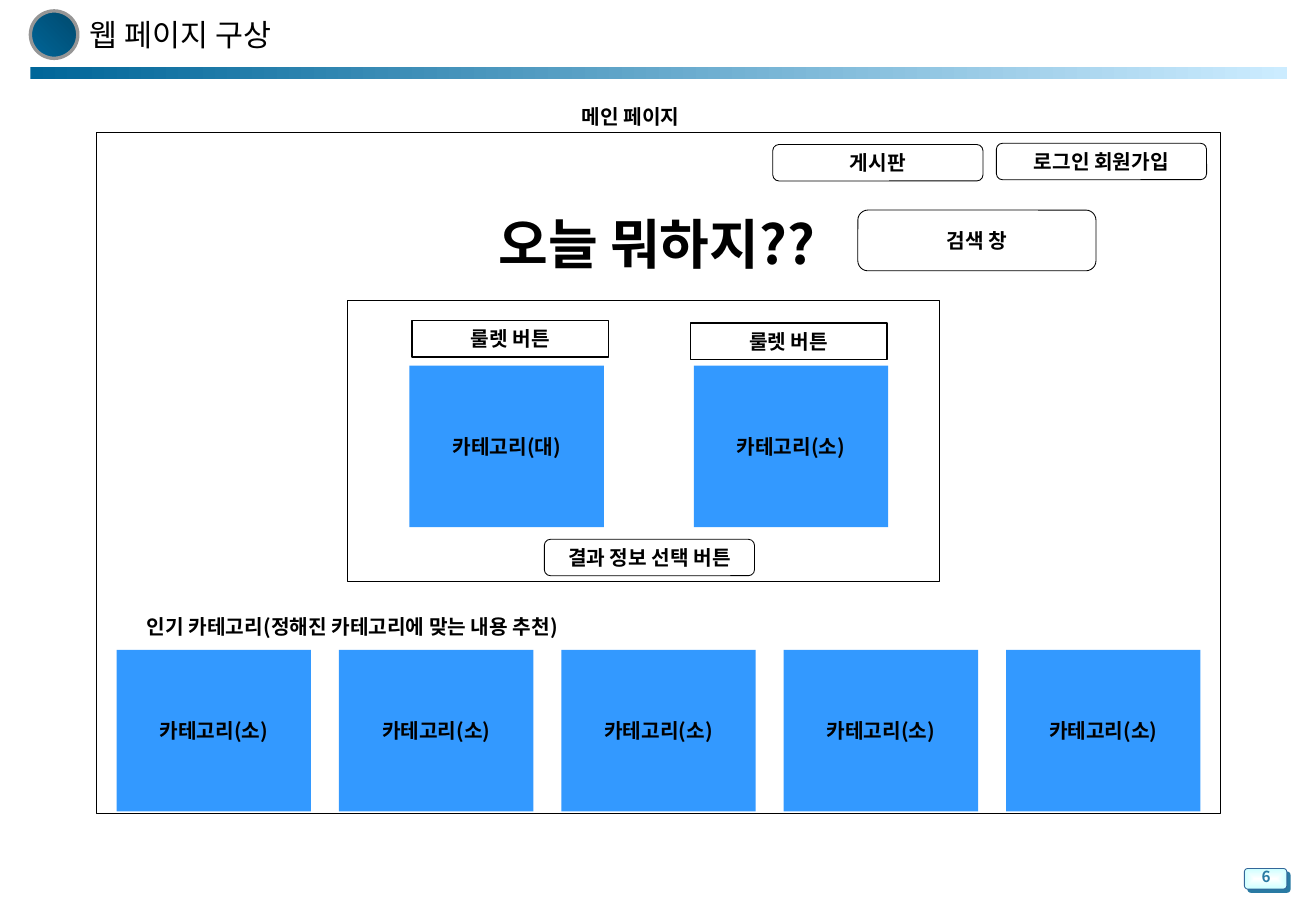
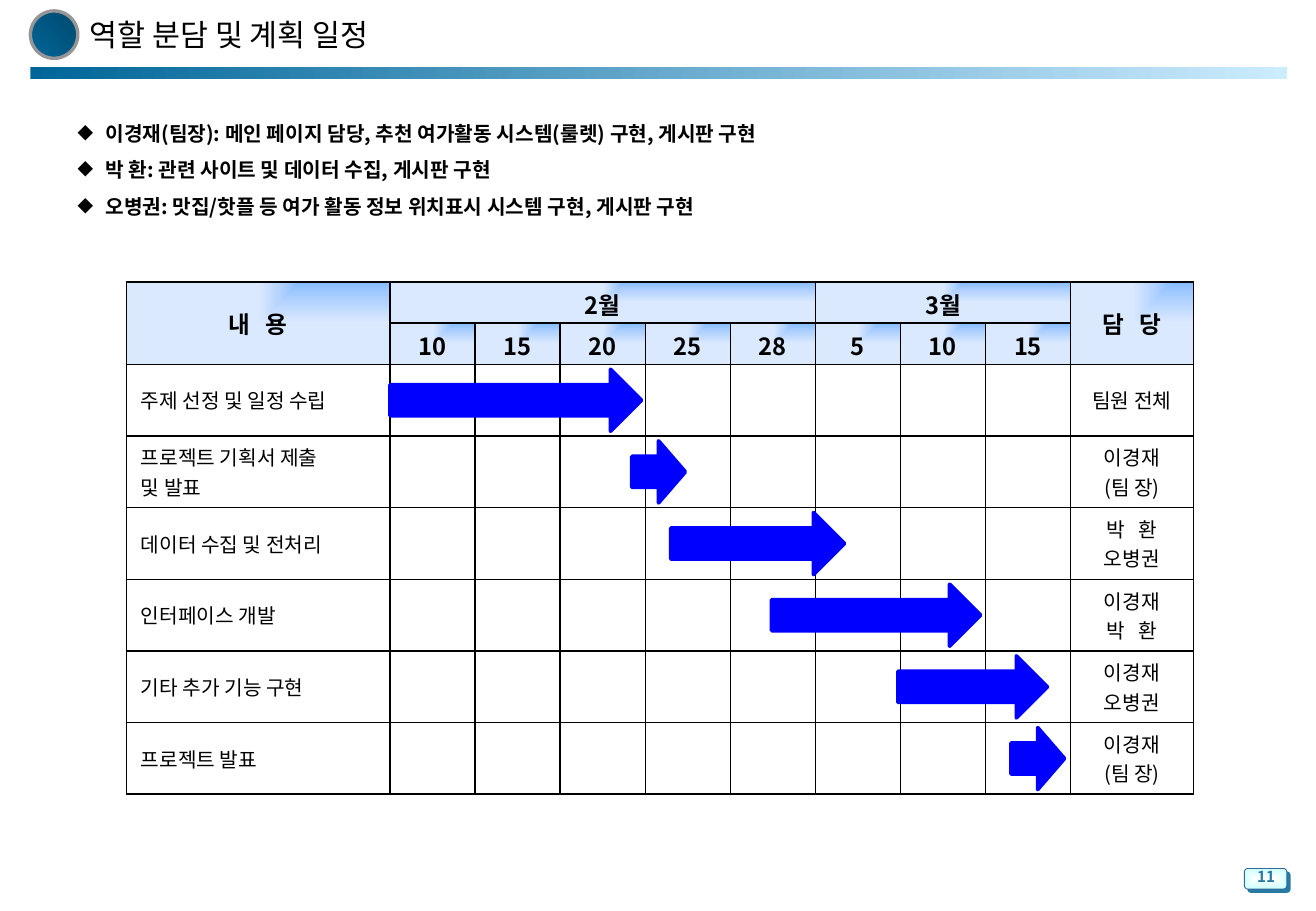
import pptx
import pptx.util
import pptx.dml.color
import pptx.enum.shapes
import pptx.enum.text
import pptx.oxml.ns
from lxml import etree

Inches = pptx.util.Inches
Pt = pptx.util.Pt
RGB = pptx.dml.color.RGBColor
SHAPE = pptx.enum.shapes.MSO_SHAPE
ALIGN = pptx.enum.text.PP_ALIGN
ANCHOR = pptx.enum.text.MSO_ANCHOR
qn = pptx.oxml.ns.qn

FONT = "Noto Sans CJK KR"
BLACK = RGB(0, 0, 0)
WHITE = RGB(255, 255, 255)
SEA = RGB(0x00, 0x66, 0x99)
DEEP = RGB(0x00, 0x49, 0x6D)
PALE = RGB(0xCC, 0xEC, 0xFF)
GRAY = RGB(0x96, 0x96, 0x96)
ICE = RGB(0xCC, 0xFF, 0xFF)
STEEL = RGB(0x33, 0x66, 0x99)
TEAL = RGB(0x29, 0x7A, 0xA3)
TILE = RGB(0x33, 0x99, 0xFF)
ARROW = RGB(0, 0, 255)
HEAD = [(0, RGB(0x86, 0xBC, 0xFF)), (50, RGB(0xB6, 0xD4, 0xFF)),
        (100, RGB(0xDB, 0xE9, 0xFF))]


def node(parent, tag, **attrs):
    """Append a DrawingML element and return it."""
    child = etree.SubElement(parent, qn("a:" + tag))
    for key, value in attrs.items():
        child.set(key, str(value))
    return child


def blend(fill, owner, stops, angle=None, focus=None):
    """Give a gradient, linear by angle or spread from a focus (kind, sides)."""
    fill.gradient()
    grad = next(owner.iter(qn("a:gradFill")))
    for child in list(grad):
        grad.remove(child)
    marks = node(grad, "gsLst")
    for place, color in stops:
        node(node(marks, "gs", pos=place * 1000), "srgbClr", val=color)
    if focus:
        kind, sides = focus
        node(node(grad, "path", path=kind), "fillToRect", **sides)
    else:
        node(grad, "lin", ang=angle * 60000, scaled=0)


def write(frame, text, size=12, bold=True, color=BLACK, align=ALIGN.CENTER,
          track=0):
    """Fill a text frame, one paragraph a line, and return the paragraphs."""
    frame.word_wrap = True
    frame.text = text
    for para in frame.paragraphs:
        para.alignment = align
        font = para.font
        font.name, font.size, font.bold = FONT, Pt(size), bold
        font.color.rgb = color
        props = para._p.pPr.find(qn("a:defRPr"))
        node(props, "ea", typeface=FONT)
        if track:
            props.set("spc", str(track))
    return frame.paragraphs


def shape(slide, kind, x, y, w, h, fill=None, line=None, weight=0.5, text=""):
    """Add a preset shape with flat fill, line and centred label."""
    item = slide.shapes.add_shape(kind, Inches(x), Inches(y), Inches(w), Inches(h))
    item.shadow.inherit = False
    if fill is None:
        item.fill.background()
    else:
        item.fill.solid()
        item.fill.fore_color.rgb = fill
    if line is None:
        item.line.fill.background()
    else:
        item.line.color.rgb = line
        item.line.width = Pt(weight)
    if text:
        item.text_frame.vertical_anchor = ANCHOR.MIDDLE
        write(item.text_frame, text)
    return item


def label(slide, x, y, w, h, text, anchor=ANCHOR.MIDDLE, **style):
    """Add a text box and return its paragraphs."""
    frame = slide.shapes.add_textbox(
        Inches(x), Inches(y), Inches(w), Inches(h)).text_frame
    frame.vertical_anchor = anchor
    return write(frame, text, **style)


def badge(slide, x, y, number):
    """Draw the page number on its small shaded plate."""
    plate = shape(slide, SHAPE.ROUNDED_RECTANGLE, x, y, 0.35, 0.17, line=STEEL)
    sides = dict.fromkeys("ltrb", 50000)
    blend(plate.fill, plate._element, [(0, WHITE), (100, ICE)],
          focus=("shape", sides))
    effects = plate._element.spPr.find(qn("a:effectLst"))
    shade = node(effects, "outerShdw", dist=Pt(2.8), dir=45 * 60000,
                 algn="ctr", rotWithShape=0)
    node(shade, "srgbClr", val=TEAL)
    label(slide, x - 0.02, y - 0.04, 0.4, 0.23, str(number), ANCHOR.BOTTOM,
          size=9, color=TEAL)


def page(deck, title, number):
    """Add a slide with the shared title, band and page number."""
    slide = deck.slides.add_slide(deck.slide_layouts[6])
    band = shape(slide, SHAPE.RECTANGLE, 0.25, 0.55, 10.34, 0.1)
    blend(band.fill, band._element, [(0, SEA), (100, PALE)], 0)
    ball = shape(slide, SHAPE.OVAL, 0.25, 0.09, 0.39, 0.39, line=GRAY, weight=2)
    blend(ball.fill, ball._element, [(0, SEA), (100, DEEP)], 315)
    badge(slide, 10.24, 7.15, number)
    label(slide, 0.64, 0.06, 5.46, 0.44, title, size=18, bold=False,
          align=ALIGN.LEFT)
    return slide


def tile(slide, x, y, text):
    """Draw one blue category tile."""
    shape(slide, SHAPE.RECTANGLE, x, y, 1.6, 1.33, fill=TILE, text=text)


def button(slide, x, y, text, w=1.73, h=0.3):
    """Draw one rounded button."""
    shape(slide, SHAPE.ROUNDED_RECTANGLE, x, y, w, h, line=BLACK, text=text)


def wheel(slide, x, y, w, h):
    """Draw the roulette panel: two buttons, two tiles, one result button."""
    shape(slide, SHAPE.RECTANGLE, x, y, w, h, line=BLACK)
    for left, text in ((0.51, "카테고리(대)"), (2.85, "카테고리(소)")):
        tile(slide, x + left, y + 0.54, text)
    for left, top in ((0.53, 0.17), (2.82, 0.19)):
        shape(slide, SHAPE.RECTANGLE, x + left, y + top, 1.62, 0.3,
              line=BLACK, weight=0.75, text="룰렛 버튼")
    button(slide, x + 1.62, y + 1.97, "결과 정보 선택 버튼")


def mockup(slide, x, y, w, h):
    """Draw the main page sketch in the given box."""
    label(slide, x + 3.59, y - 0.28, 1.62, 0.3, "메인 페이지")
    shape(slide, SHAPE.RECTANGLE, x, y, w, h, line=BLACK)
    button(slide, x + 5.57, y + 0.1, "게시판")
    button(slide, x + 7.41, y + 0.09, "로그인 회원가입")
    label(slide, x + 2.66, y + 0.59, 3.91, 0.64, "오늘 뭐하지??", size=32)
    button(slide, x + 6.27, y + 0.64, "검색 창", 1.96, 0.5)
    wheel(slide, x + 2.07, y + 1.38, 4.87, 2.32)
    label(slide, x, y + 3.92, 4.22, 0.3,
          "인기 카테고리(정해진 카테고리에 맞는 내용 추천)")
    for step in range(5):
        tile(slide, x + 0.17 + step * 1.83, y + 4.26, "카테고리(소)")


def roles(slide, x, y, w, h):
    """List who does what, with diamond bullets."""
    text = "\n".join((
        "이경재(팀장): 메인 페이지 담당, 추천 여가활동 시스템(룰렛) 구현, 게시판 구현",
        "박 환: 관련 사이트 및 데이터 수집, 게시판 구현",
        "오병권: 맛집/핫플 등 여가 활동 정보 위치표시 시스템 구현, 게시판 구현"))
    for para in label(slide, x, y, w, h, text, ANCHOR.TOP, align=ALIGN.LEFT):
        para.line_spacing = 1.5
        props = para._p.pPr
        props.set("marL", str(Inches(0.23)))
        props.set("indent", str(-Inches(0.23)))
        mark = etree.Element(qn("a:buChar"), char="◆")
        props.find(qn("a:defRPr")).addprevious(mark)


def border(cell):
    """Line all four sides of a cell in black."""
    props = cell._tc.get_or_add_tcPr()
    for side in ("lnL", "lnR", "lnT", "lnB"):
        line = node(props, side, w=Pt(1))
        node(node(line, "solidFill"), "srgbClr", val=BLACK)


def header(cell, text, track=0):
    """Style a heading cell."""
    blend(cell.fill, cell._tc, HEAD,
          focus=("rect", {"l": 100000, "b": 100000}))
    write(cell.text_frame, text, size=14, track=track)


TASKS = [
    # task, people, letter spacing of each line, arrow start and length
    ("주제 선정 및 일정 수립", "팀원 전체", (0,), 2.17, 2.07),
    ("프로젝트 기획서 제출\n및 발표", "이경재\n(팀 장)", (0, 0), 4.16, 0.44),
    ("데이터 수집 및 전처리", "박 환\n오병권", (250, 0), 4.48, 1.43),
    ("인터페이스 개발", "이경재\n박 환", (0, 250), 5.31, 1.72),
    ("기타 추가 기능 구현", "이경재\n오병권", (0, 0), 6.35, 1.23),
    ("프로젝트 발표", "이경재\n(팀 장)", (0, 0), 7.28, 0.44),
]


def plan(slide, x, y, w, h):
    """Draw the schedule table and the arrows over its rows."""
    grid = slide.shapes.add_table(
        len(TASKS) + 2, 10, Inches(x), Inches(y), Inches(w), Inches(h)).table
    grid.first_row = grid.horz_banding = False
    for col, width in zip(grid.columns, [2.17] + [0.7] * 8 + [1.01]):
        col.width = Inches(width)
    for row, height in zip(grid.rows, [0.34] * 2 + [0.59] * len(TASKS)):
        row.height = Inches(height)
    for cell in grid.iter_cells():
        border(cell)
        cell.fill.background()
        cell.vertical_anchor = ANCHOR.MIDDLE
        cell.margin_left = cell.margin_right = Inches(0.08)
        cell.margin_top = cell.margin_bottom = Inches(0.04)

    for first, last, text, track in (
            ((0, 0), (1, 0), "내 용", 300), ((0, 1), (0, 5), "2월", 0),
            ((0, 6), (0, 8), "3월", 0), ((0, 9), (1, 9), "담 당", 300)):
        grid.cell(*first).merge(grid.cell(*last))
        header(grid.cell(*first), text, track)
    for col, day in enumerate((10, 15, 20, 25, 28, 5, 10, 15), 1):
        header(grid.cell(1, col), str(day))

    for row, (task, people, tracks, start, length) in enumerate(TASKS):
        name = grid.cell(row + 2, 0)
        name.margin_left = Inches(0.12)
        write(name.text_frame, task, bold=False, align=ALIGN.LEFT)
        paras = write(grid.cell(row + 2, 9).text_frame, people, bold=False)
        for para, track in zip(paras, tracks):
            para._p.pPr.find(qn("a:defRPr")).set("spc", str(track))
        shape(slide, SHAPE.RIGHT_ARROW, x + start, y + 0.72 + row * 0.59,
              length, 0.51, fill=ARROW, line=ARROW, weight=2.25)


deck = pptx.Presentation()
deck.slide_width, deck.slide_height = Inches(10.83), Inches(7.5)
mockup(page(deck, "웹 페이지 구상", 6), 0.79, 1.09, 9.25, 5.61)
work = page(deck, "역할 분담 및 계획 일정", 11)
plan(work, 1.04, 2.32, 8.75, 4.22)
roles(work, 0.54, 0.85, 8.49, 0.97)
deck.save("out.pptx")
